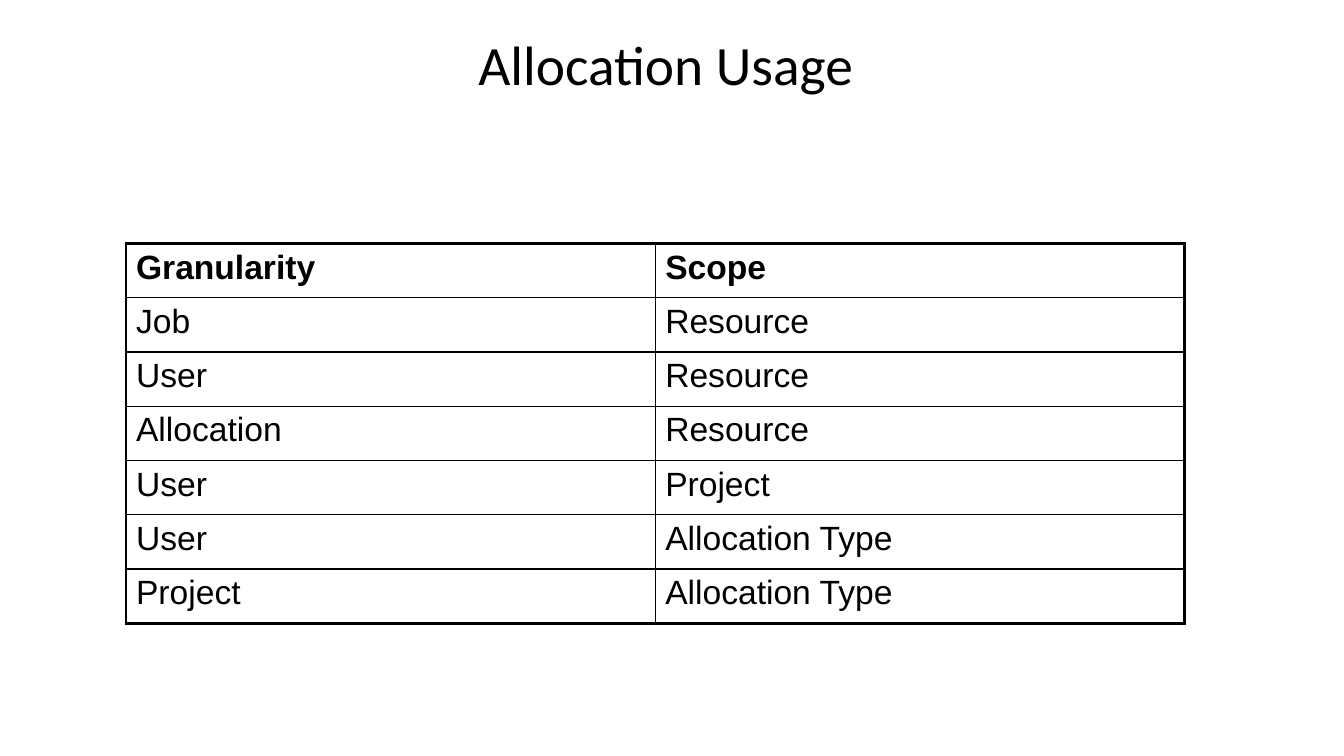
from dataclasses import dataclass

from lxml import etree
from pptx import Presentation, util as u
from pptx.dml import color
from pptx.enum import text
from pptx.oxml import ns

COLORS = {"ink": "000000"}
COLUMNS, ROWS = 160, 90
THIN, THICK = 1, 2.25


@dataclass(frozen=True)
class Area:
    column: float
    row: float
    columns: float
    rows: float


@dataclass(frozen=True)
class Usage:
    granularity: str
    scope: str
    bold: bool = False
    left_edge: float = THICK


TITLE_AREA = Area(11, 4.8, 138, 6.6)
TABLE_AREA = Area(15, 29, 126, 45.22)
USAGES = [
    Usage("Granularity", "Scope", bold=True),
    Usage("Job", "Resource"),
    Usage("User", "Resource"),
    Usage("Allocation", "Resource", left_edge=THIN),
    Usage("User", "Project"),
    Usage("User", "Allocation Type"),
    Usage("Project", "Allocation Type"),
]


def place(deck, area: Area) -> tuple[int, int, int, int]:
    column, row = deck.slide_width / COLUMNS, deck.slide_height / ROWS
    return (round(area.column * column), round(area.row * row),
            round(area.columns * column), round(area.rows * row))


def add_span(para, words: str, font: str, size: float, bold: bool = False) -> None:
    span = para.add_run()
    span.text = words
    span.font.name = font
    span.font.size = u.Pt(size)
    span.font.bold = bold
    span.font.color.rgb = color.RGBColor.from_string(COLORS["ink"])


def set_borders(cell, widths: dict[str, float]) -> None:
    properties = cell._tc.get_or_add_tcPr()
    for index, (side, width) in enumerate(widths.items()):
        line = etree.Element(ns.qn(f"a:ln{side}"), w=str(u.Pt(width)))
        fill = etree.SubElement(line, ns.qn("a:solidFill"))
        etree.SubElement(fill, ns.qn("a:srgbClr"), val=COLORS["ink"])
        properties.insert(index, line)


def add_title(deck, page) -> None:
    title = page.shapes.title
    title.left, title.top, title.width, title.height = place(deck, TITLE_AREA)
    frame = title.text_frame
    frame.auto_size = text.MSO_AUTO_SIZE.NONE
    frame.vertical_anchor = text.MSO_ANCHOR.MIDDLE
    para = frame.paragraphs[0]
    para.alignment = text.PP_ALIGN.CENTER
    para.line_spacing = 0.9
    add_span(para, "Allocation Usage ", "Calibri", 39.6)


def add_usage_table(deck, page, usages: list[Usage]) -> None:
    table = page.shapes.add_table(len(usages), 2, *place(deck, TABLE_AREA)).table
    table.first_row = table.horz_banding = False
    last = len(usages) - 1
    for row, usage in enumerate(usages):
        for column, words in enumerate((usage.granularity, usage.scope)):
            cell = table.cell(row, column)
            cell.fill.background()
            set_borders(cell, {
                "L": usage.left_edge if column == 0 else THIN,
                "R": THICK if column == 1 else THIN,
                "T": THICK if row == 0 else THIN,
                "B": THICK if row == last else THIN,
            })
            add_span(cell.text_frame.paragraphs[0], words, "Arial", 24, usage.bold)


def main() -> None:
    deck = Presentation()
    deck.slide_width, deck.slide_height = u.Inches(13.33), u.Inches(7.5)
    page = deck.slides.add_slide(deck.slide_layouts.get_by_name("Title Only"))
    add_title(deck, page)
    add_usage_table(deck, page, USAGES)
    deck.save("out.pptx")


if __name__ == "__main__":
    main()
